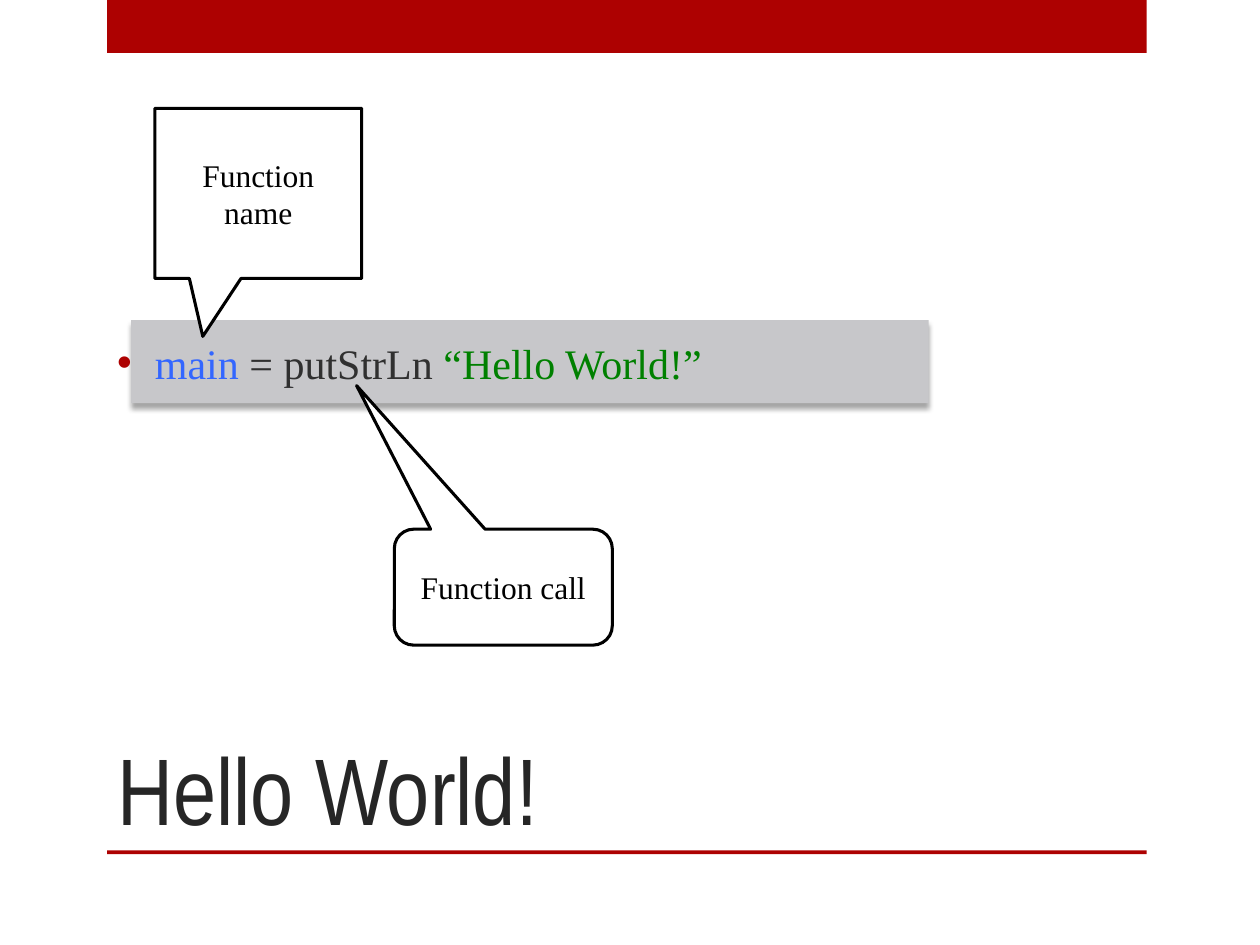
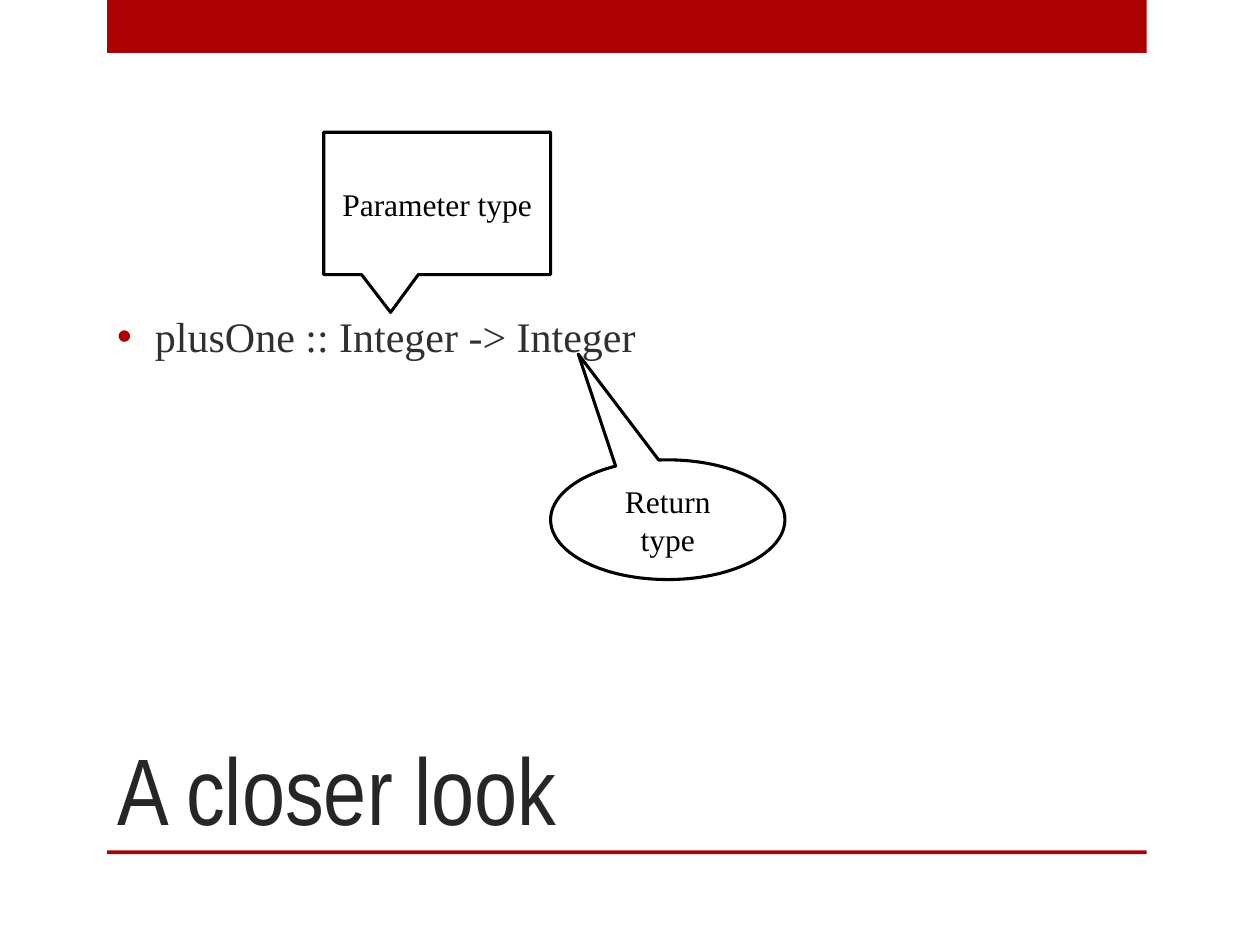
import pptx
import pptx.util
import pptx.dml.color
import pptx.enum.shapes
import pptx.enum.text
import pptx.oxml
import pptx.oxml.ns
from dataclasses import dataclass

Inches = pptx.util.Inches
Pt = pptx.util.Pt
Shape = pptx.enum.shapes.MSO_SHAPE
Anchor = pptx.enum.text.MSO_ANCHOR
Align = pptx.enum.text.PP_ALIGN


@dataclass(frozen=True)
class Theme:
    accent: str = "AD0101"
    title: str = "262626"
    text: str = "303030"
    name: str = "3366FF"
    string: str = "008000"
    panel: str = "C7C7CA"
    paper: str = "FFFFFF"
    ink: str = "000000"
    title_font: str = "Arial Narrow"
    body_font: str = "Times New Roman"
    title_size: float = 54
    body_size: float = 24
    note_size: float = 18
    outline: float = 1.75


theme = Theme()
WIDTH, HEIGHT = 10, 7.5
BANDS = [(0.85, 0, 8.25, 0.42), (0.85, 0.9 * HEIGHT, 8.25, 0.03)]
TITLE_AREA = (0.83, HEIGHT * 2 / 3, 7.42, 1.75)
BODY_AREA = (0.83, HEIGHT / 10, 8.25, 4.25)
INDENT = 0.3

SLIDES = [
    {
        "title": "Hello World!",
        "code": [("main", theme.name), (" = putStrLn ", theme.text),
                 ("“Hello World!”", theme.string)],
        "panel": (1.04, 2.54, 6.33, 0.66),
        "lift": 0,
        "callouts": [
            ("Function name", Shape.RECTANGULAR_CALLOUT, (1.23, 0.86, 1.64, 1.35), (1.61, 2.67)),
            ("Function call", Shape.ROUNDED_RECTANGULAR_CALLOUT, (3.13, 4.2, 1.73, 0.92), (2.83, 3.06)),
        ],
    },
    {
        "title": "A closer look",
        "code": [("plusOne :: Integer -> Integer", theme.text)],
        "panel": None,
        "lift": 0.42,
        "callouts": [
            ("Parameter type", Shape.RECTANGULAR_CALLOUT, (2.57, 1.05, 1.8, 1.13), (3.1, 2.48)),
            ("Return type", Shape.OVAL_CALLOUT, (4.37, 3.65, 1.86, 0.95), (4.59, 2.81)),
        ],
    },
]


def rgb(code):
    return pptx.dml.color.RGBColor.from_string(code)


def xml(markup):
    return pptx.oxml.parse_xml(markup.replace(" ", f" {pptx.oxml.ns.nsdecls('a')} ", 1))


def style(span, font, size, color):
    span.font.name = font
    span.font.size = Pt(size)
    span.font.color.rgb = rgb(color)


def place(box, area):
    box.left, box.top, box.width, box.height = map(Inches, area)


def add_box(page, kind, area, fill):
    box = page.shapes.add_shape(kind, *map(Inches, area))
    box.shadow.inherit = False
    box.fill.solid()
    box.fill.fore_color.rgb = rgb(fill)
    box.line.fill.background()
    return box


def set_up_layout(layout, page):
    place(layout.placeholders[0], TITLE_AREA)
    place(layout.placeholders[1], BODY_AREA)
    for area in BANDS:
        band = add_box(page, Shape.RECTANGLE, area, theme.accent)
        layout.shapes.element.append(band.element)


def add_panel(page, area):
    panel = add_box(page, Shape.RECTANGLE, area, theme.panel)
    effects = panel.element.spPr.find(pptx.oxml.ns.qn("a:effectLst"))
    effects.append(xml(
        f'<a:outerShdw blurRad="{Pt(3)}" dist="{Pt(3)}" dir="5400000" rotWithShape="0">'
        f'<a:srgbClr val="{theme.ink}"><a:alpha val="35000"/></a:srgbClr></a:outerShdw>'))
    page.shapes.element.insert(2, panel.element)


def fill_title(box, text):
    frame = box.text_frame
    frame.text = text
    frame.vertical_anchor = Anchor.BOTTOM
    frame.auto_size = pptx.enum.text.MSO_AUTO_SIZE.NONE
    frame.paragraphs[0].alignment = Align.LEFT
    style(frame.paragraphs[0].runs[0], theme.title_font, theme.title_size, theme.title)


def fill_code(box, parts, lift):
    frame = box.text_frame
    frame.vertical_anchor = Anchor.MIDDLE
    frame.auto_size = pptx.enum.text.MSO_AUTO_SIZE.NONE
    frame.margin_bottom = Inches(0.05 + lift)
    para = frame.paragraphs[0]
    for text, color in parts:
        span = para.add_run()
        span.text = text
        style(span, theme.body_font, theme.body_size, color)
    properties = para._p.get_or_add_pPr()
    properties.set("marL", str(Inches(INDENT)))
    properties.set("indent", str(-Inches(INDENT)))
    properties.append(xml(f'<a:buClr ><a:srgbClr val="{theme.accent}"/></a:buClr>'))
    properties.append(xml('<a:buChar char="•"/>'))


def add_callout(page, text, kind, area, tip):
    box = add_box(page, kind, area, theme.paper)
    box.line.color.rgb = rgb(theme.ink)
    box.line.width = Pt(theme.outline)
    for axis in range(2):
        start, length = area[axis], area[axis + 2]
        box.adjustments[axis] = (tip[axis] - start) / length - 0.5
    frame = box.text_frame
    frame.text = text
    frame.word_wrap = True
    frame.vertical_anchor = Anchor.MIDDLE
    frame.paragraphs[0].alignment = Align.CENTER
    style(frame.paragraphs[0].runs[0], theme.body_font, theme.note_size, theme.ink)


deck = pptx.Presentation()
deck.slide_width, deck.slide_height = Inches(WIDTH), Inches(HEIGHT)
layout = deck.slide_layouts[1]
for number, content in enumerate(SLIDES):
    page = deck.slides.add_slide(layout)
    if number == 0:
        set_up_layout(layout, page)
    fill_title(page.shapes.title, content["title"])
    fill_code(page.placeholders[1], content["code"], content["lift"])
    if content["panel"]:
        add_panel(page, content["panel"])
    for callout in content["callouts"]:
        add_callout(page, *callout)
deck.save("out.pptx")
